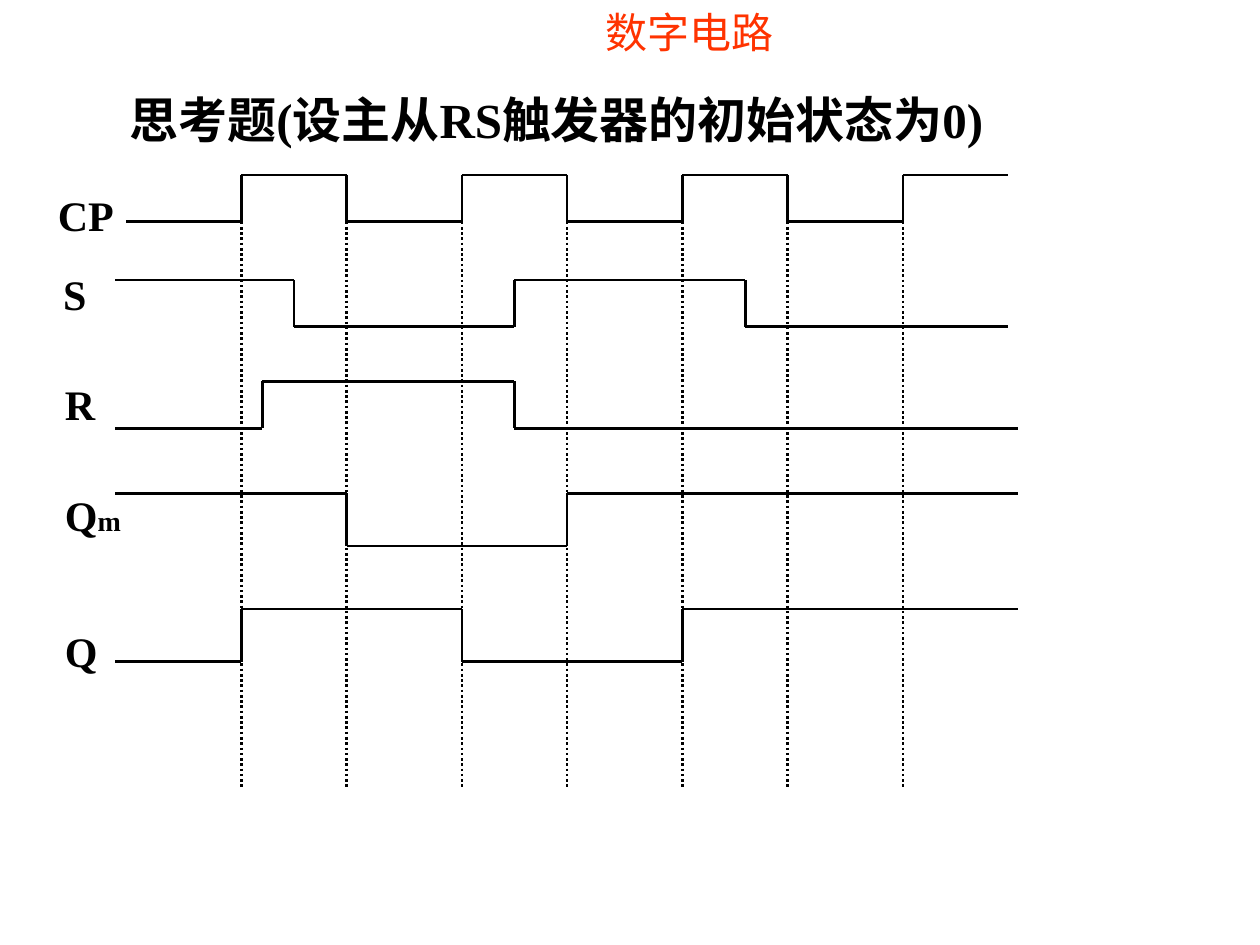
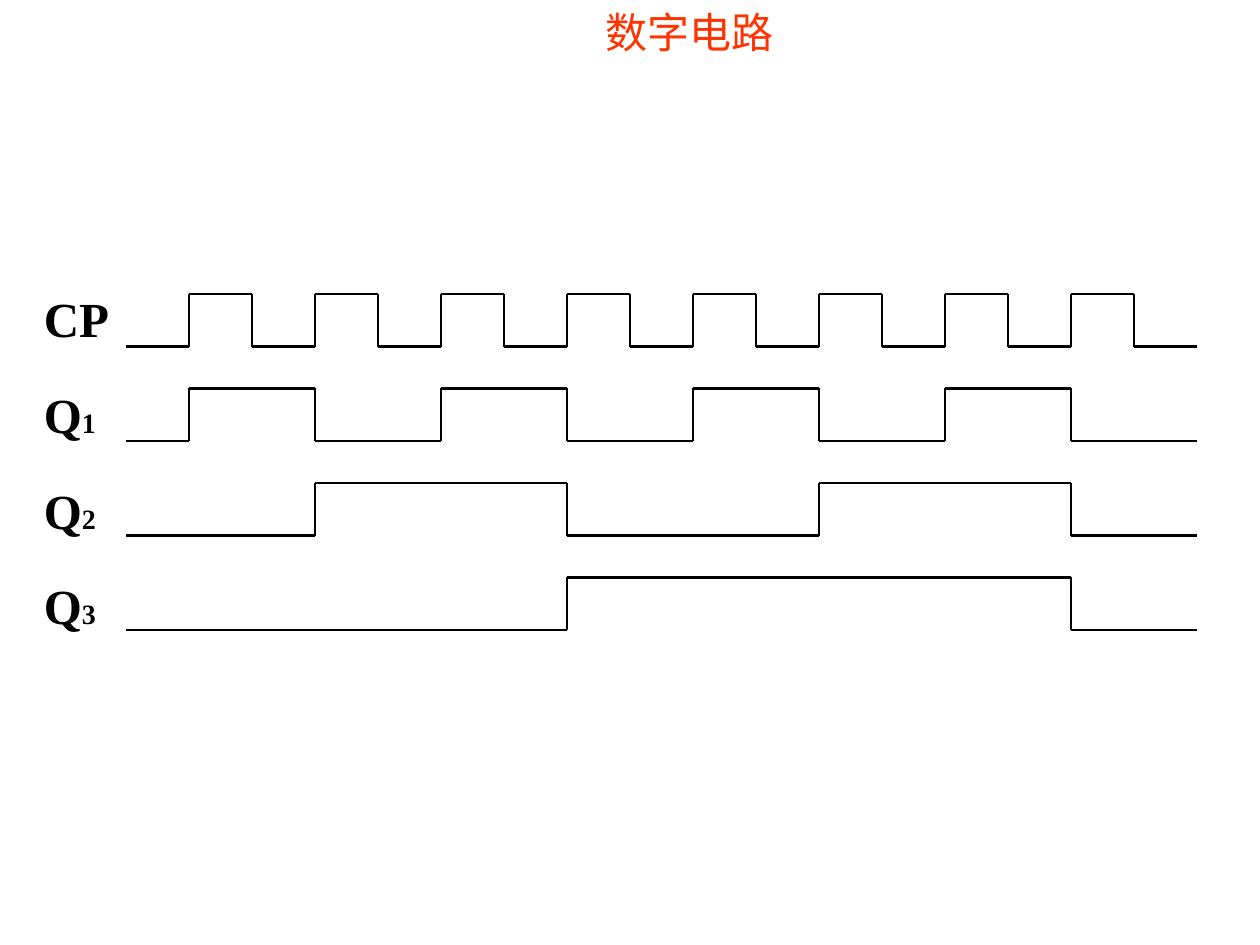
import pptx
import pptx.util
import pptx.dml.color
import pptx.enum.dml
import pptx.enum.shapes
import pptx.enum.text
import pptx.oxml.ns
from lxml import etree

Pt = pptx.util.Pt
TEXT = pptx.enum.text
HUES = {"ink": "000000", "head": "FF3300"}
LATIN, HAN = "Times New Roman", "Noto Sans CJK SC"
HEAD = "数字电路"
TASK = "思考题(设主从RS触发器的初始状态为0)"

# Clock of the first slide: low for 66, high for 60
CLOCK = [72, 138, 198, 264, 324, 390, 450, 516, 576]
GUIDE = (126.7, 450)

# name, sub, label box, high y, swing, starts high, start + edges + end
FLIP = [
    ("CP", "", (26, 105, 49, 36), 100, 26.7, False, CLOCK),
    ("S", "", (29, 150, 30, 36), 160, 26.7, True, [66, 168, 294, 426, 576]),
    ("R", "", (30, 213, 34, 36), 218, 26.7, False, [66, 150, 294, 582]),
    ("Q", "m", (30, 276, 49, 36), 282, 30, True, [66, 198, 324, 582]),
    ("Q", "", (30, 354, 35, 36), 348, 30, False, [66, 138, 264, 390, 582]),
]

# name, sub, label top, label width, first edge, edge step
COUNT = [
    ("CP", "", 161.5, 54, 108, 36),
    ("Q", "1", 216, 47, 108, 72),
    ("Q", "2", 271, 47, 180, 144),
    ("Q", "3", 325.5, 47, 324, 288),
]
LEFT, RIGHT, TOP, PITCH, SWING = 72, 684, 168, 54, 30


def hue(name):
    return pptx.dml.color.RGBColor.from_string(HUES[name])


def add_run(para, text, size, font=LATIN, tint="ink", bold=True):
    run = para.add_run()
    run.text = text
    run.font.size, run.font.name, run.font.bold = Pt(size), font, bold
    run.font.color.rgb = hue(tint)


def add_text(shapes, box, runs):
    area = shapes.add_textbox(*map(Pt, box))
    area.text_frame.word_wrap = False
    area.text_frame.auto_size = TEXT.MSO_AUTO_SIZE.SHAPE_TO_FIT_TEXT
    for text, size in runs:
        add_run(area.text_frame.paragraphs[0], text, size)


def add_line(shapes, start, end, dots=False):
    kind = pptx.enum.shapes.MSO_CONNECTOR.STRAIGHT
    line = shapes.add_connector(kind, *map(Pt, (*start, *end)))
    line.line.color.rgb = hue("ink")
    line.line.width = Pt(1.5)
    if dots:
        line.line.dash_style = pptx.enum.dml.MSO_LINE.ROUND_DOT
    props = line.element.find(pptx.oxml.ns.qn("p:spPr"))
    etree.SubElement(props, pptx.oxml.ns.qn("a:effectLst"))


def add_wave(slide, name, sub, box, top, swing, high, marks, size):
    """Draw a labelled square wave that flips at each inner mark."""
    shapes = slide.shapes.add_group_shape().shapes
    levels = (top, top + swing) if high else (top + swing, top)
    last = len(marks) - 2
    for i, (x, end) in enumerate(zip(marks, marks[1:])):
        y, other = levels[i % 2], levels[1 - i % 2]
        add_line(shapes, (x, y), (end, y))
        if i < last:
            add_line(shapes, (end, y), (end, other))
    add_text(shapes, box, [(name, size)] + ([(sub, 16)] if sub else []))


def add_slide(deck):
    slide = deck.slides.add_slide(deck.slide_layouts[5])
    title = slide.shapes.title
    title.left, title.top, title.width, title.height = map(Pt, (292, 0, 204, 43))
    frame = title.text_frame
    frame.word_wrap = False
    frame.auto_size = TEXT.MSO_AUTO_SIZE.NONE
    frame.vertical_anchor = TEXT.MSO_ANCHOR.TOP
    para = frame.paragraphs[0]
    para.alignment = TEXT.PP_ALIGN.CENTER
    add_run(para, HEAD, 24, HAN, "head", False)
    for props in title.element.iter(pptx.oxml.ns.qn("a:rPr")):
        etree.SubElement(props, pptx.oxml.ns.qn("a:ea"), typeface=HAN)
    return slide


def main():
    deck = pptx.Presentation()
    deck.slide_width, deck.slide_height = Pt(720), Pt(540)

    slide = add_slide(deck)
    add_text(slide.shapes, (67, 47.5, 536, 41), [(TASK, 28)])
    for x in CLOCK[1:-1]:
        add_line(slide.shapes, (x, GUIDE[0]), (x, GUIDE[1]), dots=True)
    for wave in FLIP:
        add_wave(slide, *wave, size=24)

    slide = add_slide(deck)
    for i, (name, sub, top, width, first, step) in enumerate(COUNT):
        marks = [LEFT, *range(first, RIGHT, step), RIGHT]
        box = (18, top, width, 41)
        add_wave(slide, name, sub, box, TOP + i * PITCH, SWING, False, marks, 28)

    deck.save("out.pptx")


if __name__ == "__main__":
    main()
